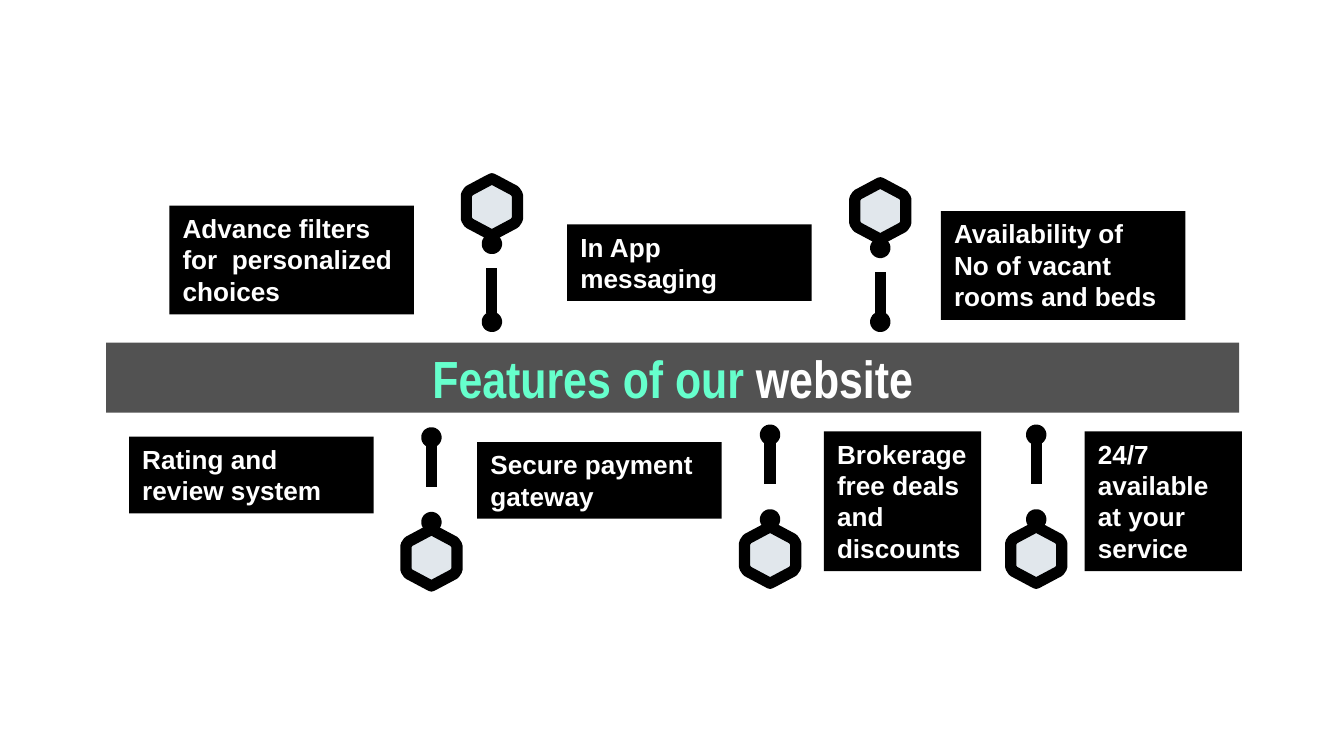
from lxml import etree
from pptx import Presentation
from pptx import util as u
from pptx.dml import color
from pptx.enum import dml, shapes, text
from pptx.oxml import ns

# Content: title runs, cards (left, top, width, height, paragraphs), pins
TITLE = [("Features of our ", "mint"), ("website", "white")]
WIDE, NARROW = 1.82, 1.17
TWO, THREE, FOUR = 0.57, 0.81, 1.04  # card heights by number of lines
CARDS = [
    (1.26, 1.53, WIDE, THREE, ["Advance filters for  personalized choices"]),
    (4.22, 1.67, WIDE, TWO, ["In App messaging"]),
    (7.00, 1.57, WIDE, THREE, ["Availability of", "No of vacant rooms and beds"]),
    (0.96, 3.25, WIDE, TWO, ["Rating and review system"]),
    (3.55, 3.29, WIDE, TWO, ["Secure payment gateway"]),
    (6.13, 3.21, NARROW, FOUR, ["Brokerage free deals and discounts"]),
    (8.07, 3.21, NARROW, FOUR, ["24/7 available at your service"]),
]
# Pins: centre x, top of the hexagon
PINS_ABOVE = [(3.66, 1.33), (6.55, 1.36)]
PINS_BELOW = [(3.21, 3.94), (5.73, 3.92), (7.71, 3.92)]
BAR = (0.79, 2.55, 8.43, 0.52)
DOT = 0.07
DOT_ABOVE = 2.36  # top of the dots that sit on the bar's upper side

# Left half of the hexagon with blunt corners, from top to bottom
HALF_HEXAGON = [(0, 0), (-0.02, 0.01), (-0.17, 0.09), (-0.19, 0.12),
                (-0.19, 0.30), (-0.17, 0.33), (-0.02, 0.41), (0, 0.42)]

THEME = {
    "black": "000000", "white": "FFFFFF", "mint": "66FFCC",
    "hexagon": "E1E7EC", "dot": "A5B7C6", "bar_alpha": 68, "line": 6,
    "title": {"size": u.Pt(28), "name": "Arial Narrow", "bold": True},
    "card": {"size": u.Pt(14), "name": "Arial", "bold": True},
}

# Slide in 16:9
prs = Presentation()
prs.slide_width = u.Inches(10)
prs.slide_height = prs.slide_width * 9 // 16
s = prs.slides.add_slide(prs.slide_layouts[6])


def rgb(name):
    return color.RGBColor.from_string(THEME[name])


def paint(sp, fill, outlined=False):
    sp.shadow.inherit = False
    sp.fill.solid()
    sp.fill.fore_color.rgb = rgb(fill)
    if outlined:
        sp.line.color.rgb = rgb("black")
        sp.line.width = u.Pt(THEME["line"])
    else:
        sp.line.fill.background()


def add_shape(kind, box, fill, outlined=False):
    sp = s.shapes.add_shape(kind, *[u.Inches(v) for v in box])
    paint(sp, fill, outlined)
    return sp


def add_run(p, words, style, fill):
    r = p.add_run()
    r.text = words
    for key, value in THEME[style].items():
        setattr(r.font, key, value)
    r.font.color.rgb = rgb(fill)


def add_hexagon(x, top):
    outline = HALF_HEXAGON + [(-dx, dy) for dx, dy in HALF_HEXAGON[-2:0:-1]]
    points = [(u.Inches(x + dx), u.Inches(top + dy)) for dx, dy in outline]
    builder = s.shapes.build_freeform(*points[0])
    builder.add_line_segments(points[1:], close=True)
    sp = builder.convert_to_shape()
    paint(sp, "hexagon", outlined=True)
    etree.SubElement(sp._element.spPr.find(ns.qn("a:ln")), ns.qn("a:round"))


def add_pin(x, hexagon_top, dots, start, end):
    add_hexagon(x, hexagon_top)
    for top in dots:
        add_shape(shapes.MSO_SHAPE.OVAL, (x - DOT / 2, top, DOT, DOT), "dot", True)
    stem = s.shapes.add_connector(shapes.MSO_CONNECTOR.STRAIGHT,
                                  *[u.Inches(v) for v in (x, start, x, end)])
    stem.line.color.rgb = rgb("black")
    stem.line.width = u.Pt(THEME["line"])
    stem.line.dash_style = dml.MSO_LINE.DASH
    etree.SubElement(stem._element.spPr, ns.qn("a:effectLst"))


# Pins: a dashed stem between a dot at the hexagon and a dot at the bar
for x, top in PINS_ABOVE:
    near = top + 0.45
    add_pin(x, top, (near, DOT_ABOVE), near + 0.55, near + DOT)
for x, top in PINS_BELOW:
    near, far = top - 0.09, top - 0.72
    add_pin(x, top, (near, far), far + DOT, near)

# Title bar
bar = add_shape(shapes.MSO_SHAPE.RECTANGLE, BAR, "black")
solid = bar._element.spPr.find(ns.qn("a:solidFill"))
etree.SubElement(solid[0], ns.qn("a:alpha"), val=str(THEME["bar_alpha"] * 1000))
tf = bar.text_frame
for side in ("left", "top", "right", "bottom"):
    setattr(tf, f"margin_{side}", u.Inches(0.1))
tf.word_wrap = True
tf.vertical_anchor = text.MSO_ANCHOR.MIDDLE
tf.paragraphs[0].alignment = text.PP_ALIGN.CENTER
for words, fill in TITLE:
    add_run(tf.paragraphs[0], words, "title", fill)

# Feature cards
for *box, paragraphs in CARDS:
    tf = add_shape(shapes.MSO_SHAPE.RECTANGLE, box, "black").text_frame
    tf.word_wrap = True
    tf.auto_size = text.MSO_AUTO_SIZE.SHAPE_TO_FIT_TEXT
    tf.vertical_anchor = text.MSO_ANCHOR.TOP
    for i, words in enumerate(paragraphs):
        p = tf.add_paragraph() if i else tf.paragraphs[0]
        p.alignment = text.PP_ALIGN.LEFT
        add_run(p, words, "card", "white")

prs.save("out.pptx")
